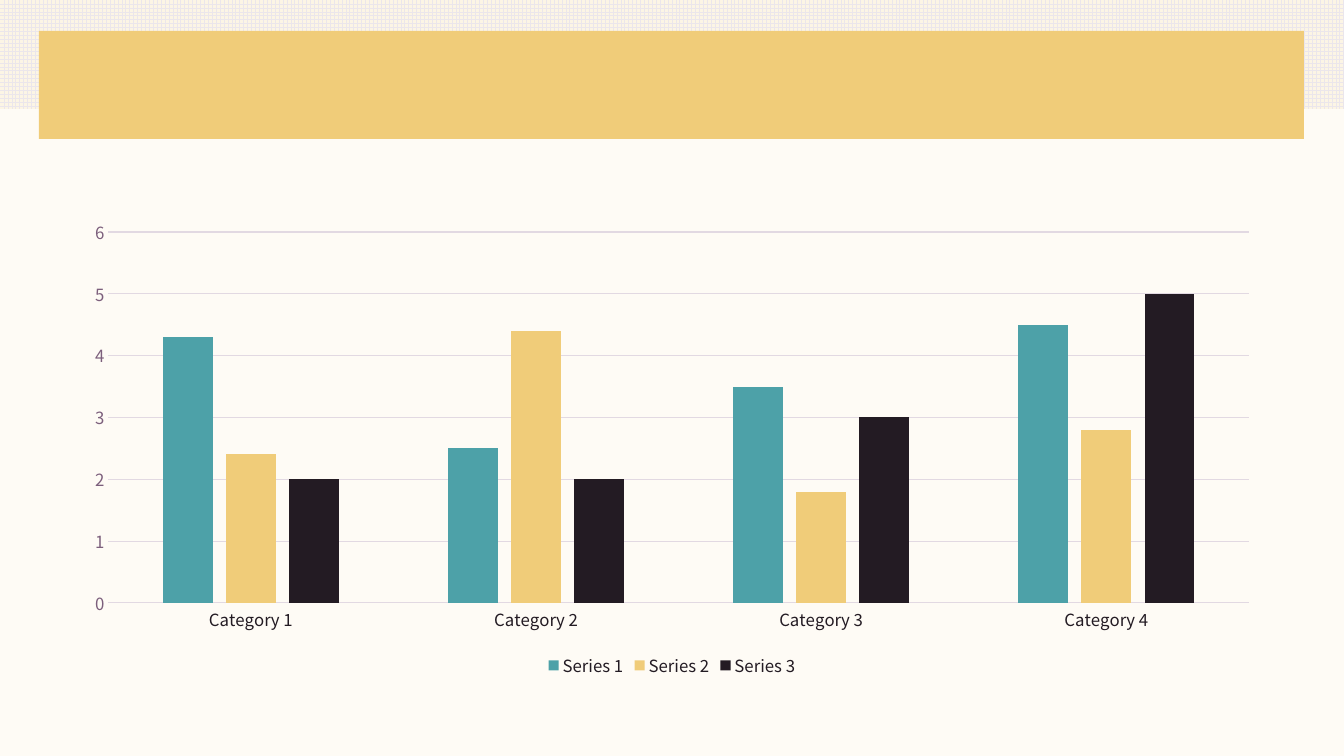
import pptx
import pptx.chart.data
import pptx.dml.color
import pptx.enum.chart
import pptx.enum.dml
import pptx.enum.shapes
import pptx.util

FONT = "Noto Sans CJK JP"
PAGE_WIDTH, PAGE_HEIGHT = 1344, 756
EMU_PER_PIXEL = 12192000 / PAGE_WIDTH
CREAM, PAPER = "FCF5E5", "FEFBF5"
GOLD, TEAL, INK = "F0CC79", "4DA1A8", "231B23"
MAUVE, LILAC, MIST = "7C5F7C", "E2D9E2", "EBE6EB"
CATEGORIES = ["Category 1", "Category 2", "Category 3", "Category 4"]
SERIES = [
    ("Series 1", (4.3, 2.5, 3.5, 4.5), TEAL),
    ("Series 2", (2.4, 4.4, 1.8, 2.8), GOLD),
    ("Series 3", (2, 2, 3, 5), INK),
]


def pixels(count):
    """Turn whole pixels into EMU."""
    return pptx.util.Emu(round(count * EMU_PER_PIXEL))


def color(value):
    """Turn a hex string into a colour."""
    return pptx.dml.color.RGBColor.from_string(value)


def paint(fill, value):
    """Give a fill one solid colour."""
    fill.solid()
    fill.fore_color.rgb = color(value)


def add_band(page, left, top, width, height):
    """Add a plain rectangle without line or shadow."""
    band = page.shapes.add_shape(
        pptx.enum.shapes.MSO_SHAPE.RECTANGLE,
        *map(pixels, (left, top, width, height)))
    band.shadow.inherit = False
    band.line.fill.background()
    return band


def add_grid_band(page, left, top, width, height):
    """Add a rectangle filled with a large grid pattern."""
    fill = add_band(page, left, top, width, height).fill
    fill.patterned()
    fill.pattern = pptx.enum.dml.MSO_PATTERN.LARGE_GRID
    fill.fore_color.rgb = color(MIST)
    fill.back_color.rgb = color(CREAM)


def style_font(font, size, value):
    """Set the face, size and colour of chart text."""
    font.name = FONT
    font.size = pptx.util.Pt(size)
    font.color.rgb = color(value)


def style_line(line):
    """Draw a thin lilac line."""
    line.width = pptx.util.Pt(0.75)
    paint(line.fill, LILAC)


def style_axis(axis, value):
    """Remove the tick marks and set the label font of an axis."""
    axis.major_tick_mark = pptx.enum.chart.XL_TICK_MARK.NONE
    axis.minor_tick_mark = pptx.enum.chart.XL_TICK_MARK.NONE
    style_font(axis.tick_labels.font, 12, value)


def add_column_chart(page, left, top, width, height):
    """Add the clustered columns with axes and legend."""
    data = pptx.chart.data.CategoryChartData()
    data.categories = CATEGORIES
    for name, values, _ in SERIES:
        data.add_series(name, values)
    chart = page.shapes.add_chart(
        pptx.enum.chart.XL_CHART_TYPE.COLUMN_CLUSTERED,
        *map(pixels, (left, top, width, height)), data).chart
    chart.has_title = False
    style_font(chart.font, 10, INK)

    plot = chart.plots[0]
    plot.gap_width = 219
    plot.overlap = -27
    plot.vary_by_categories = False
    for series, (_, _, value) in zip(plot.series, SERIES):
        paint(series.format.fill, value)
        series.invert_if_negative = False

    style_axis(chart.category_axis, INK)
    style_line(chart.category_axis.format.line)

    scale = chart.value_axis
    style_axis(scale, MAUVE)
    scale.minimum_scale, scale.maximum_scale, scale.major_unit = 0, 6, 1
    scale.format.line.fill.background()
    scale.has_major_gridlines = True
    style_line(scale.major_gridlines.format.line)

    chart.has_legend = True
    chart.legend.position = pptx.enum.chart.XL_LEGEND_POSITION.BOTTOM
    chart.legend.include_in_layout = False
    style_font(chart.legend.font, 12, INK)


def main():
    """Build the slide and save the deck."""
    deck = pptx.Presentation()
    deck.slide_width = pixels(PAGE_WIDTH)
    deck.slide_height = pixels(PAGE_HEIGHT)
    page = deck.slides.add_slide(deck.slide_layouts[6])
    paint(page.background.fill, PAPER)
    add_grid_band(page, 0, 0, PAGE_WIDTH, 109)
    title_band = add_band(page, 39, 31, 1265, 108)
    paint(title_band.fill, GOLD)
    add_column_chart(page, 71, 210, 1202, 472)
    deck.save("out.pptx")


main()
